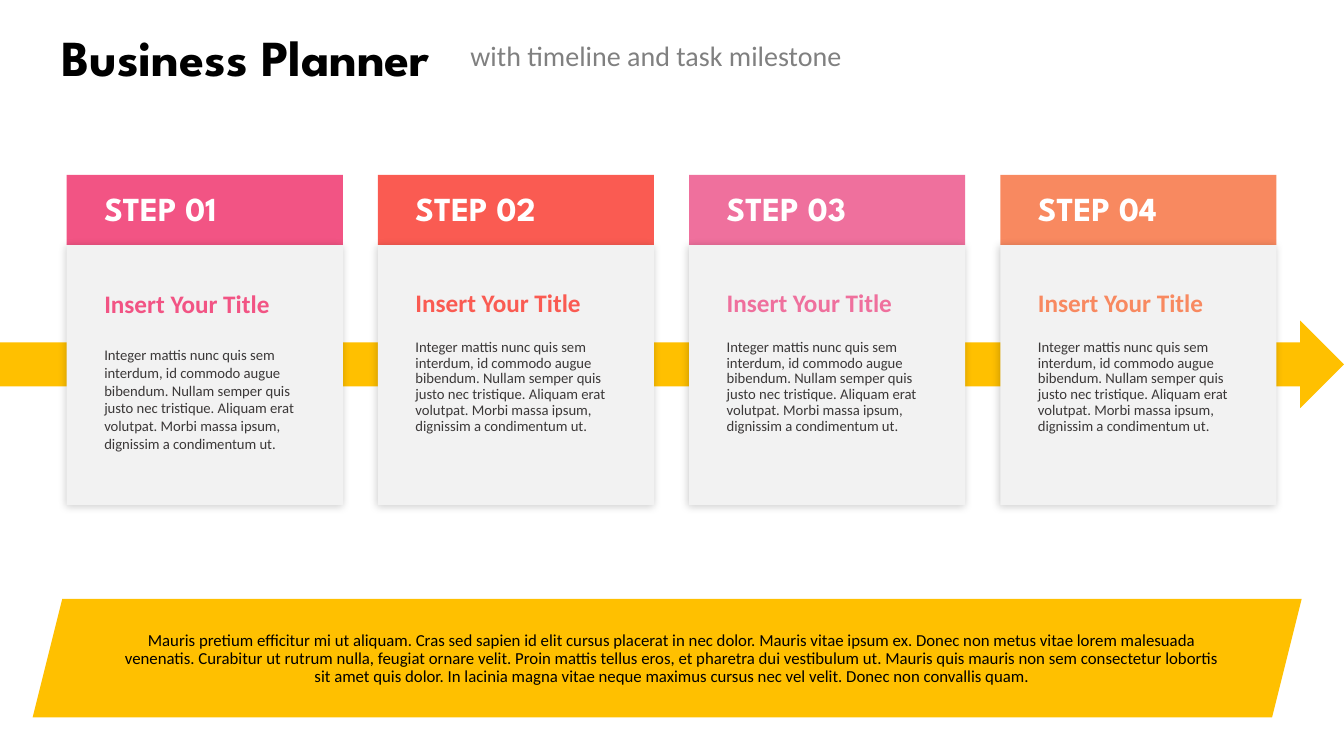
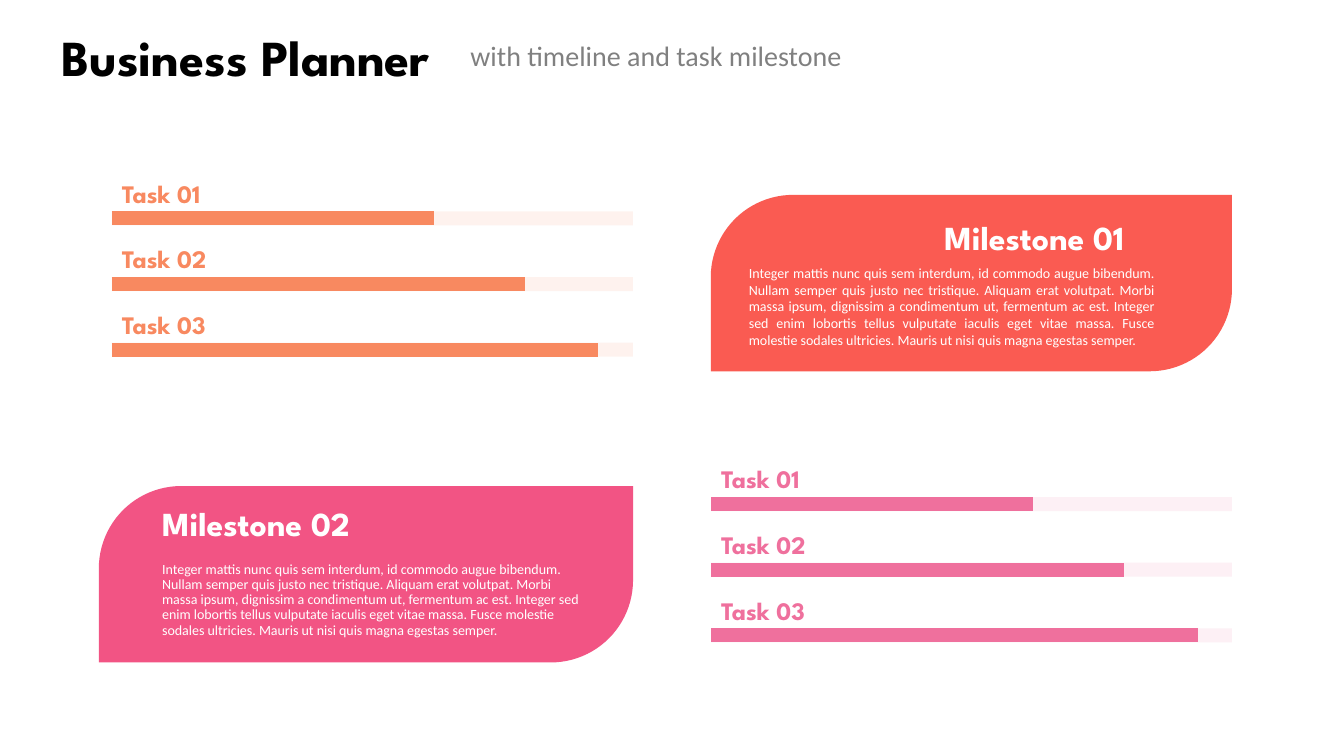
from lxml import etree
from pptx import Presentation
from pptx.dml.color import RGBColor as RGB
from pptx.enum.shapes import MSO_CONNECTOR as LINK, MSO_SHAPE as SHAPE
from pptx.enum.text import MSO_ANCHOR as ANCHOR, MSO_AUTO_SIZE as FIT, PP_ALIGN as ALIGN
from pptx.oxml import parse_xml
from pptx.oxml.ns import nsdecls, qn
from pptx.util import Pt

# Colours and fonts
BLACK = RGB(0x00, 0x00, 0x00)
WHITE = RGB(0xFF, 0xFF, 0xFF)
GREY = RGB(0x80, 0x80, 0x80)
DARK = RGB(0x3B, 0x38, 0x38)
PALE = RGB(0xF2, 0xF2, 0xF2)
GOLD = RGB(0xFF, 0xC0, 0x00)
ROSE = RGB(0xF2, 0x54, 0x84)
RED = RGB(0xFA, 0x5B, 0x52)
PINK = RGB(0xEF, 0x70, 0x9D)
PEACH = RGB(0xF8, 0x89, 0x60)
HEAD = "League Spartan"
BODY = "Calibri"

# Wording used more than once
LOREM = ("Integer mattis nunc quis sem interdum, id commodo augue bibendum. "
         "Nullam semper quis justo nec tristique. Aliquam erat volutpat. "
         "Morbi massa ipsum, dignissim a condimentum ut")
LONG = LOREM + (", fermentum ac est. Integer sed enim lobortis tellus vulputate "
                "iaculis eget vitae massa. Fusce molestie sodales ultricies. "
                "Mauris ut nisi quis magna egestas semper.")


def write(box, text, size, color, font=BODY, bold=False,
          align=ALIGN.LEFT, anchor=ANCHOR.TOP, space=1.0):
    frame = box.text_frame
    frame.word_wrap = True
    frame.auto_size = FIT.NONE
    frame.vertical_anchor = anchor
    frame.text = text
    para = frame.paragraphs[0]
    para.alignment = align
    para.line_spacing = space
    para.font.size = Pt(size)
    para.font.name = font
    para.font.bold = bold
    para.font.color.rgb = color


def draw(slide, kind, left, top, width, height, fill):
    shape = slide.shapes.add_shape(kind, Pt(left), Pt(top), Pt(width), Pt(height))
    shape.shadow.inherit = False
    shape.fill.solid()
    shape.fill.fore_color.rgb = fill
    shape.line.fill.background()
    return shape


deck = Presentation()
deck.slide_width, deck.slide_height = Pt(960), Pt(540)

# Both slides with the shared heading
plan, tasks = [deck.slides.add_slide(deck.slide_layouts[5]) for _ in range(2)]
for slide in (plan, tasks):
    title = slide.shapes.title
    title.left, title.top, title.width, title.height = Pt(23), Pt(18.7), Pt(305.3), Pt(43.2)
    write(title, "Business Planner", 36, BLACK, font=HEAD, bold=True,
          align=ALIGN.CENTER, anchor=ANCHOR.MIDDLE)
    note = slide.shapes.add_textbox(Pt(329), Pt(23.8), Pt(338.4), Pt(31.7))
    write(note, "with timeline and task milestone", 20, GREY, anchor=ANCHOR.MIDDLE)

# Slide 1: arrow and closing band
draw(plan, SHAPE.RIGHT_ARROW, 0, 229, 960, 62.6, GOLD)
draw(plan, SHAPE.PARALLELOGRAM, 23.3, 427.8, 906.5, 84.6, GOLD)
band = plan.shapes.add_textbox(Pt(80.6), Pt(447.8), Pt(799.2), Pt(43.9))
write(band, "Mauris pretium efficitur mi ut aliquam. Cras sed sapien id elit cursus "
      "placerat in nec dolor. Mauris vitae ipsum ex. Donec non metus vitae lorem "
      "malesuada venenatis. Curabitur ut rutrum nulla, feugiat ornare velit. Proin "
      "mattis tellus eros, et pharetra dui vestibulum ut. Mauris quis mauris non sem "
      "consectetur lobortis sit amet quis dolor. In lacinia magna vitae neque maximus "
      "cursus nec vel velit. Donec non convallis quam.",
      12, BLACK, align=ALIGN.CENTER, space=0.9)

# Slide 1: four step cards
for step, color in enumerate((ROSE, RED, PINK, PEACH)):
    left = 47.6 + step * 222.3
    draw(plan, SHAPE.RECTANGLE, left, 125, 197.3, 50, color)
    card = draw(plan, SHAPE.RECTANGLE, left, 175, 197.3, 185.8, PALE)
    # Soft shadow under the card
    glow = card._element.spPr.find(qn("a:effectLst"))
    glow.append(parse_xml(
        f'<a:outerShdw {nsdecls("a")} blurRad="{Pt(6)}" dist="{Pt(1)}" dir="8100000" '
        'algn="tr" rotWithShape="0"><a:srgbClr val="000000"><a:alpha val="20000"/>'
        '</a:srgbClr></a:outerShdw>'))
    # The first card has looser, centred text
    look = dict(anchor=ANCHOR.TOP, space=0.9) if step else dict(anchor=ANCHOR.MIDDLE)
    rows = (
        (133.9, 31.7, f"STEP {step + 1:02}", 24, WHITE, dict(font=HEAD, bold=True, space=0.9)),
        (204.5, 24.5, "Insert Your Title", 18, color, dict(bold=True, **look)),
        (239, 92.2, LOREM + ".", 10.5, DARK, look),
    )
    for top, height, text, size, ink, form in rows:
        box = plan.shapes.add_textbox(Pt(left + 19.8), Pt(top), Pt(158.4), Pt(height))
        write(box, text, size, ink, **form)

# Slide 2: milestone panels
for left, top, width, color in ((507.7, 139.2, 372.3, RED), (70.6, 347.2, 381.6, ROSE)):
    panel = draw(tasks, SHAPE.ROUND_2_DIAG_RECTANGLE, left, top, width, 126, color)
    panel.adjustments[0] = 0.467
    panel.adjustments[1] = 0

# Slide 2: milestone text
first = dict(align=ALIGN.JUSTIFY, anchor=ANCHOR.MIDDLE)
second = dict(space=0.9)
big = dict(font=HEAD, bold=True)
for left, top, width, height, text, size, form in (
        (667.4, 153.4, 164.9, 31.7, "Milestone 01", 24, {**big, **first}),
        (527.8, 185, 303.8, 67.7, LONG, 10, first),
        (108.7, 358.6, 172, 31.7, "Milestone 02", 24, {**big, **second}),
        (108.7, 398.2, 318.2, 67.7, LONG, 10, second)):
    box = tasks.shapes.add_textbox(Pt(left), Pt(top), Pt(width), Pt(height))
    write(box, text, size, WHITE, **form)

# Slide 2: task bars, a faint track under each solid length
TRACK = 372
for left, start, color in ((80, 156, PEACH), (508, 360, PINK)):
    group = tasks.shapes.add_group_shape().shapes
    for row, done in enumerate((230, 295, 347.5)):
        mid = start + row * 46.9
        for length, faint in ((TRACK, True), (done, False)):
            bar = group.add_connector(LINK.STRAIGHT, Pt(left), Pt(mid),
                                      Pt(left + length), Pt(mid))
            bar.line.width = Pt(10)
            bar.line.color.rgb = color
            etree.SubElement(bar._element.spPr, qn("a:effectLst"))
            if faint:
                tint = bar._element.spPr.find(".//" + qn("a:srgbClr"))
                etree.SubElement(tint, qn("a:alpha")).set("val", "10000")
        label = group.add_textbox(Pt(left), Pt(mid - 32.4), Pt(172.8), Pt(28.8))
        write(label, f"Task {row + 1:02}", 18, color, font=HEAD, bold=True)

deck.save("out.pptx")
